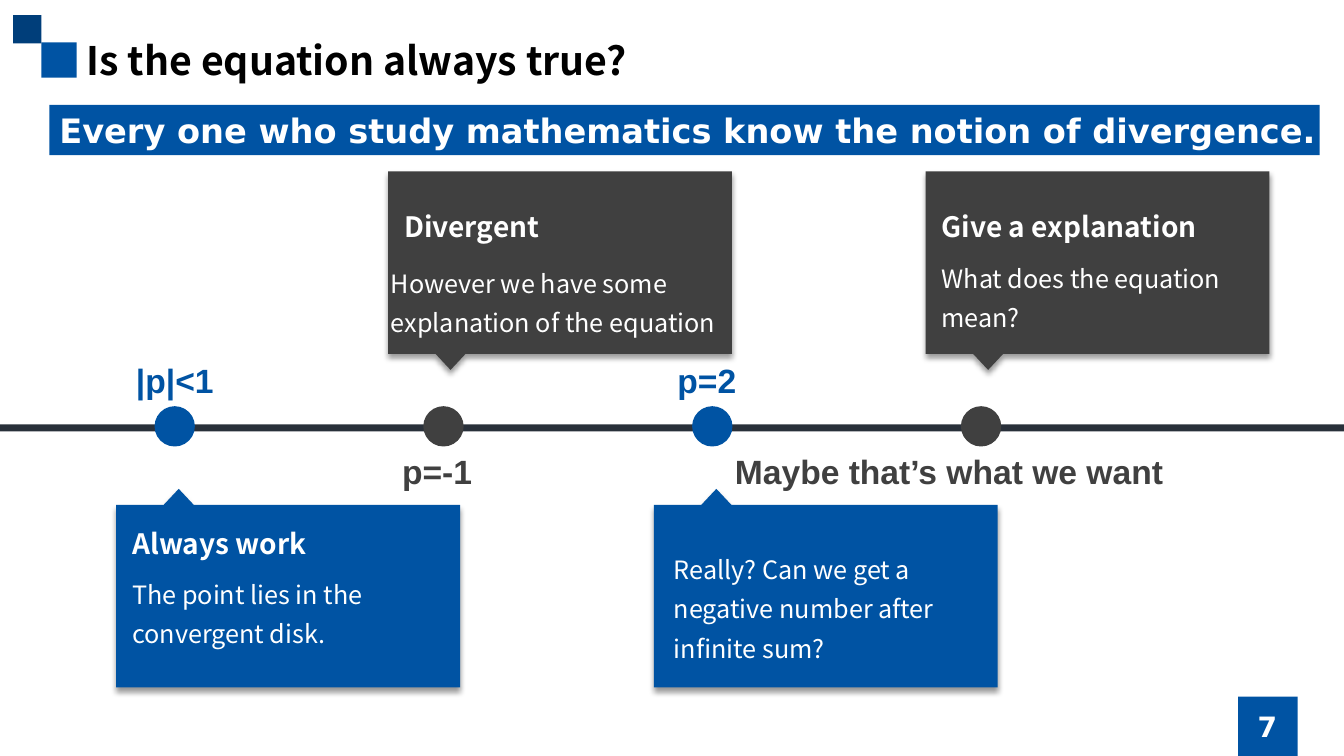
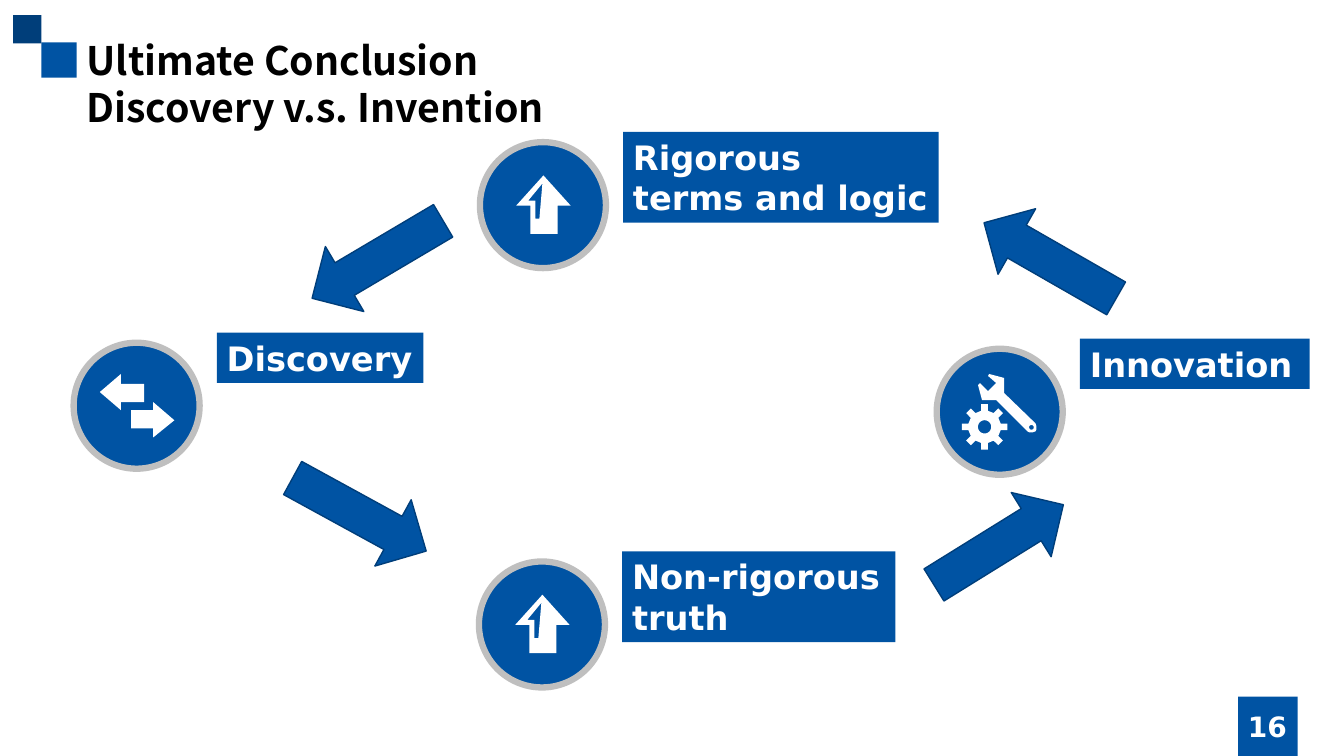
from math import cos, pi, sin

from lxml import etree
from pptx import Presentation, util as u
from pptx.dml.color import RGBColor
from pptx.enum import shapes as kinds, text as txt
from pptx.oxml.ns import qn

W, H = 13.33, 7.5
BLUE = RGBColor(0x00, 0x53, 0xA3)
NAVY = RGBColor(0x00, 0x3E, 0x7A)
CHARCOAL = RGBColor(0x40, 0x40, 0x40)
SLATE = RGBColor(0x29, 0x30, 0x3A)
SILVER = RGBColor(0xBF, 0xBF, 0xBF)
WHITE = RGBColor(0xFF, 0xFF, 0xFF)
BLACK = RGBColor(0, 0, 0)
SANS, WIDE, PLAIN = "Noto Sans CJK SC", "DejaVu Sans", "Arial"
RECT = kinds.MSO_SHAPE.RECTANGLE
OVAL = kinds.MSO_SHAPE.OVAL

# Squares shared by all slides: left, top, side, colour
SQUARES = [(0.41, 0.42, 0.35, BLUE), (0.13, 0.15, 0.28, NAVY),
           (12.28, 6.91, 0.59, BLUE)]

NOTION = "Every one who study mathematics know the notion of divergence."
# Point label with left and width, callout heading with width,
# callout body with its left, top and width inside the callout, and line count
STEPS = [
    (("|p|<1", 1.25, 1.12), ("Always work", 1.99),
     ("The point lies in the convergent disk.", 0.06, 0.6, 3.29, 2)),
    (("p=-1", 3.89, 1.04), ("Divergent", 1.59),
     ("However we have some explanation of the equation",
      -0.07, 0.82, 3.54, 2)),
    (("p=2", 6.62, 0.89), None,
     ("Really? Can we get a negative number after infinite sum?",
      0.1, 0.35, 3.29, 3)),
    (("Maybe that’s what we want", 7.19, 5.08), ("Give a explanation", 2.82),
     ("What does the equation mean?", 0.06, 0.77, 3.29, 2)),
]
# Callout side of the axis: colour, offset from point, top, heading, label top
BELOW = (BLUE, -0.58, 5.01, 0.16, 3.52)
ABOVE = (CHARCOAL, -0.55, 1.7, 0.33, 4.42)

# Stage label, icon, left and top of its disc, label width
STAGES = [
    ("Innovation", "tools", 9.29, 3.46, 2.28),
    ("Discovery", "swap", 0.73, 3.4, 2.05),
    ("Rigorous\nterms and logic", "up", 4.76, 1.41, 3.13),
    ("Non-rigorous\ntruth", "up", 4.75, 5.57, 2.71),
]
# Arrows of the cycle: left, top, rotation
ARROWS = [(2.81, 4.73, 28.7), (9.15, 5.03, 328.2),
          (9.66, 2.21, 209.8), (2.99, 2.2, 149.4)]


def ring(cx, cy, radius, count=24):
    """Return points evenly spread round a circle."""
    return [(cx + radius * cos(2 * pi * n / count),
             cy + radius * sin(2 * pi * n / count)) for n in range(count)]


def gear(cx, cy, teeth=8, base=0.16, tip=0.225, half=0.033):
    """Return the outline of a toothed wheel."""
    outline = []
    for n in range(teeth):
        c, s = cos(2 * pi * n / teeth), sin(2 * pi * n / teeth)
        for r, side in ((base, -half), (tip, -half), (tip, half), (base, half)):
            outline.append((cx + r * c - side * s, cy + r * s + side * c))
    return outline


WRENCH = [(0.98, 0.74), (0.67, 0.44), (0.67, 0.29), (0.52, 0.25), (0.51, 0.27),
          (0.59, 0.34), (0.51, 0.42), (0.43, 0.34), (0.41, 0.36), (0.45, 0.51),
          (0.59, 0.51), (0.9, 0.82), (0.92, 0.83), (0.95, 0.83), (0.98, 0.82),
          (0.99, 0.8), (0.99, 0.77)]
# Each icon is a list of outlines, each outline a list of closed contours
ICONS = {
    "tools": [[gear(0.475, 0.775), ring(0.475, 0.775, 0.066)],
              [WRENCH, ring(0.94, 0.78, 0.024, 12)]],
    "swap": [[[(0.7, 0.59), (0.47, 0.59), (0.47, 0.67), (0.26, 0.49),
               (0.47, 0.31), (0.47, 0.41), (0.7, 0.41)],
              [(0.57, 0.85), (0.79, 0.85), (0.79, 0.94), (1, 0.77),
               (0.79, 0.59), (0.79, 0.67), (0.57, 0.67)]]],
    "up": [[[(0.5, 0.91), (0.5, 0.63), (0.36, 0.63), (0.63, 0.33),
             (0.9, 0.63), (0.77, 0.63), (0.77, 0.91)],
            [(0.62, 0.41), (0.48, 0.58), (0.55, 0.58), (0.55, 0.76),
             (0.59, 0.76)]]],
}


def write(shape, words, size, font, color, bold=True, spacing=None,
          align=txt.PP_ALIGN.LEFT, anchor=txt.MSO_ANCHOR.TOP):
    """Put formatted text in a shape."""
    frame = shape.text_frame
    frame.text = words
    frame.word_wrap = True
    frame.auto_size = txt.MSO_AUTO_SIZE.NONE
    frame.vertical_anchor = anchor
    for line in frame.paragraphs:
        line.alignment = align
        if spacing:
            line.line_spacing = spacing
        for run in line.runs:
            run.font.size = u.Pt(size)
            run.font.name = font
            run.font.bold = bold
            run.font.color.rgb = color


def paint(shape, fill, line=None, weight=1):
    """Give a shape a flat fill and an optional outline."""
    shape.shadow.inherit = False
    shape.fill.solid()
    shape.fill.fore_color.rgb = fill
    if line is None:
        shape.line.fill.background()
    else:
        shape.line.color.rgb = line
        shape.line.width = u.Pt(weight)
    return shape


def box(slide, kind, left, top, width, height, fill, line=None, weight=1):
    """Add a flat preset shape, measured in inches."""
    place = map(u.Inches, (left, top, width, height))
    return paint(slide.shapes.add_shape(kind, *place), fill, line, weight)


def label(slide, words, left, top, width, height, *style, **options):
    """Add a text box, measured in inches."""
    place = map(u.Inches, (left, top, width, height))
    area = slide.shapes.add_textbox(*place)
    write(area, words, *style, **options)
    return area


def tag(slide, words, left, top, width):
    """Add a blue label as tall as its lines."""
    height = 0.1 + 0.4 * len(words.split("\n"))
    plate = box(slide, RECT, left, top, width, height, BLUE)
    write(plate, words, 24, WIDE, WHITE)
    plate.text_frame.margin_right = 0


def outline(slide, contours, left, top, fill):
    """Add a filled freeform from contours relative to left and top."""
    paths = [[(u.Inches(left + x), u.Inches(top + y)) for x, y in contour]
             for contour in contours]
    builder = slide.shapes.build_freeform(*paths[0][0])
    builder.add_line_segments(paths[0][1:], close=True)
    for contour in paths[1:]:
        builder.move_to(*contour[0])
        builder.add_line_segments(contour[1:], close=True)
    return paint(builder.convert_to_shape(), fill)


def drop_shadow(shape):
    """Cast a soft black shadow straight down."""
    effects = shape.element.spPr.find(qn("a:effectLst"))
    shade = etree.SubElement(effects, qn("a:outerShdw"), blurRad=str(u.Pt(4)),
                             dist=str(u.Pt(3)), dir="5400000", rotWithShape="0")
    black = etree.SubElement(shade, qn("a:srgbClr"), val="000000")
    etree.SubElement(black, qn("a:alpha"), val="40000")


def add_page(deck, title, number):
    """Add a slide with its title and page number."""
    slide = deck.slides.add_slide(deck.slide_layouts[5])
    heading = slide.shapes.title
    lines = len(title.split("\n"))
    heading.left, heading.top, heading.width, heading.height = map(
        u.Inches, (0.76, 0.31, 5.91, 0.1 + 0.47 * lines))
    write(heading, title, 28, SANS, BLACK)
    label(slide, number, 11.81, 7.01, 1.52, 0.4, 20, WIDE, WHITE,
          align=txt.PP_ALIGN.CENTER, anchor=txt.MSO_ANCHOR.MIDDLE)
    return slide


def decorate_layout(deck, slide):
    """Move the shared squares onto the layout."""
    tree = deck.slide_layouts[5].shapes.element
    for n, (left, top, side, color) in enumerate(SQUARES):
        square = box(slide, RECT, left, top, side, side, color).element
        square.nvSpPr.cNvPr.set("id", str(100 + n))
        tree.insert(2 + n, square)


def add_callout(slide, left, top, color, points_up):
    """Add a shadowed panel with a pointer towards the axis."""
    width, height, tip = 3.41, 1.81, 0.16
    edge, far, peak = (0, height, -tip) if points_up else (height, 0, height + tip)
    panel = [(0.62, peak), (0.77, edge), (width, edge), (width, far),
             (0, far), (0, edge), (0.47, edge)]
    drop_shadow(outline(slide, [panel], left, top, color))


def add_timeline(slide):
    """Draw the axis with its points, labels and callouts."""
    box(slide, RECT, 0, 4.21, W, 0.07, SLATE)
    dot = 0.4
    for n, (point, heading, body) in enumerate(STEPS):
        color, shift, top, heading_top, point_top = ABOVE if n % 2 else BELOW
        center = W * (0.13 + 0.2 * n)
        left = center + shift
        box(slide, OVAL, center - dot / 2, 4.03, dot, dot, color)
        add_callout(slide, left, top, color, color == BLUE)
        words, dx, dy, width, lines = body
        label(slide, words, left + dx, top + dy, width, 0.11 + 0.39 * lines,
              18, SANS, WHITE, bold=False, spacing=1.3)
        if heading:
            words, width = heading
            label(slide, words, left + 0.06, top + heading_top, width, 0.44,
                  20, SANS, WHITE).text_frame.word_wrap = False
        words, label_left, width = point
        label(slide, words, label_left, point_top, width, 0.5, 24, PLAIN, color)


def add_cycle(slide):
    """Draw the four stages and the arrows between them."""
    disc = 1.25
    for words, icon, left, top, width in STAGES:
        box(slide, OVAL, left, top, disc, disc, BLUE, SILVER, 4.5)
        for contours in ICONS[icon]:
            outline(slide, contours, left, top, WHITE)
        tag(slide, words, left + 1.42, top - 0.1, width)
    for left, top, angle in ARROWS:
        arrow = box(slide, kinds.MSO_SHAPE.RIGHT_ARROW, left, top, 1.51, 0.75,
                    BLUE, NAVY)
        arrow.rotation = angle


deck = Presentation()
deck.slide_width, deck.slide_height = u.Inches(W), u.Inches(H)

truth = add_page(deck, "Is the equation always true?", "7")
decorate_layout(deck, truth)
tag(truth, NOTION, 0.49, 1.04, 12.6)
add_timeline(truth)

conclusion = add_page(deck, "Ultimate Conclusion\nDiscovery v.s. Invention", "16")
add_cycle(conclusion)

deck.save("out.pptx")
